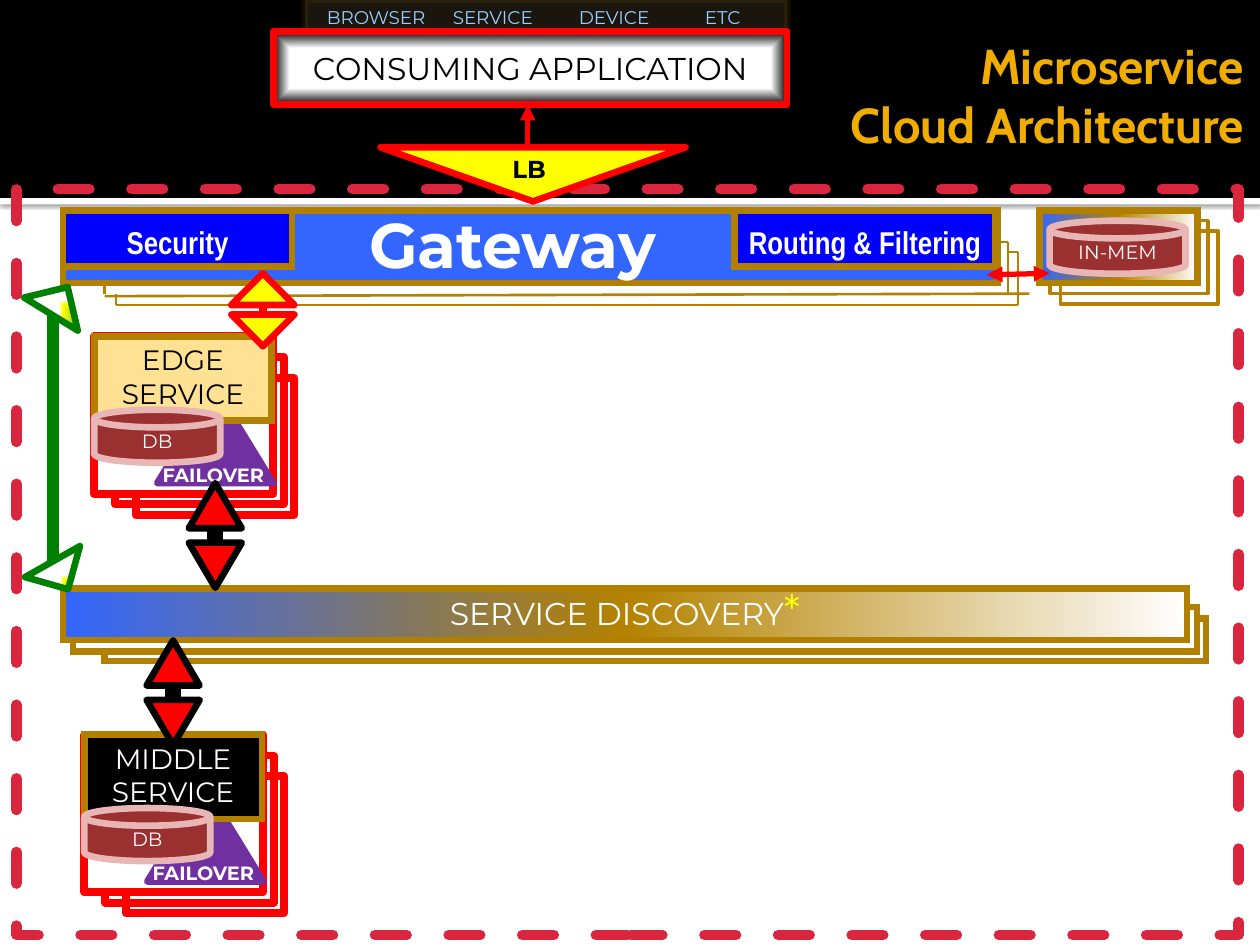
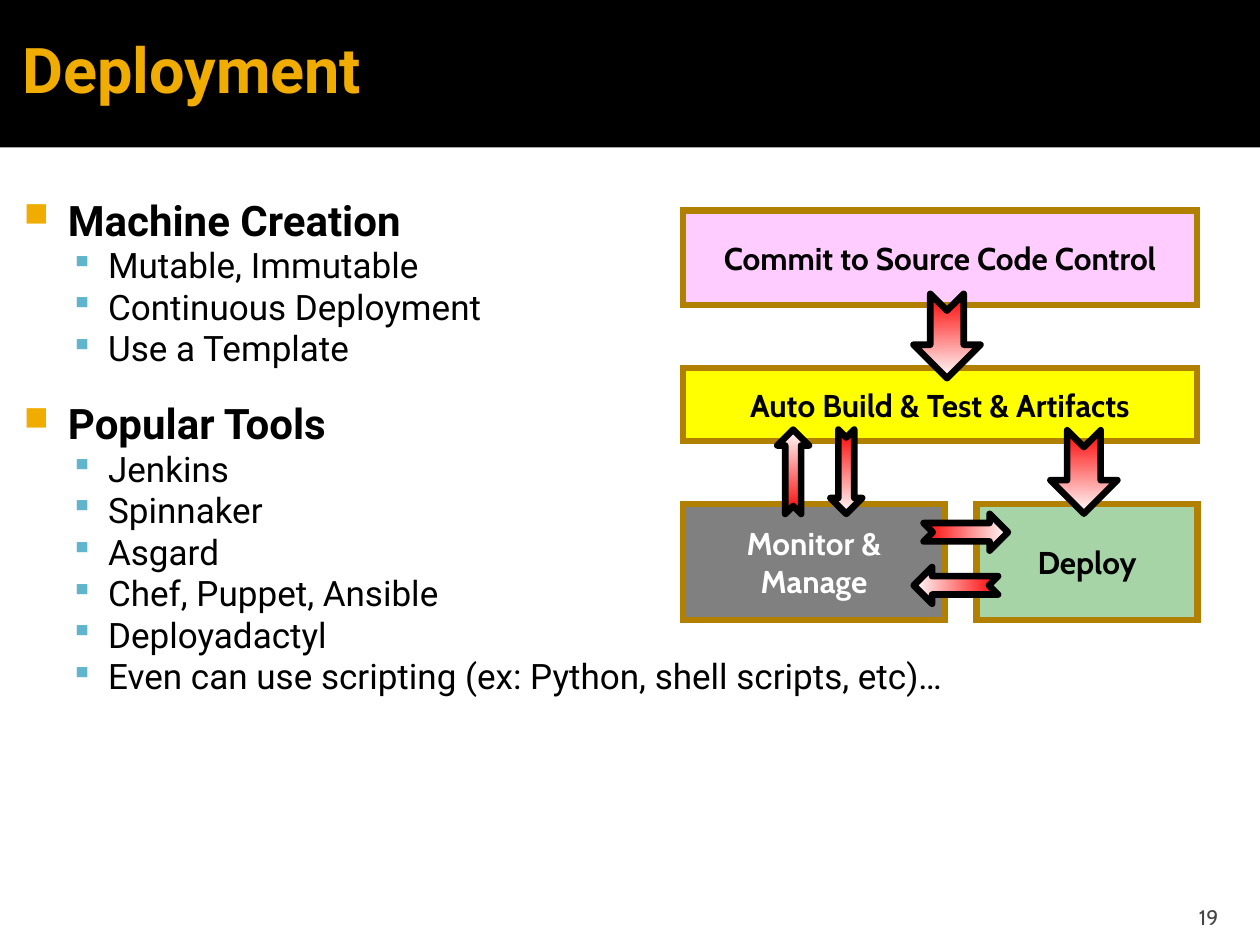
from lxml import etree
from pptx import Presentation
from pptx.dml.color import RGBColor
from pptx.enum.dml import MSO_LINE
from pptx.enum.shapes import MSO_CONNECTOR, MSO_SHAPE
from pptx.enum.text import MSO_ANCHOR, MSO_AUTO_SIZE, PP_ALIGN
from pptx.oxml.ns import qn
from pptx.util import Cm, Pt

RECT = MSO_SHAPE.RECTANGLE
TRIANGLE = MSO_SHAPE.ISOSCELES_TRIANGLE
DISK = MSO_SHAPE.FLOWCHART_MAGNETIC_DISK
ARROW = MSO_SHAPE.NOTCHED_RIGHT_ARROW
STRAIGHT = MSO_CONNECTOR.STRAIGHT
DASH = MSO_LINE.DASH
TOP, MIDDLE, BOTTOM = MSO_ANCHOR.TOP, MSO_ANCHOR.MIDDLE, MSO_ANCHOR.BOTTOM
LEFT, CENTER, RIGHT = PP_ALIGN.LEFT, PP_ALIGN.CENTER, PP_ALIGN.RIGHT
NO_FIT = MSO_AUTO_SIZE.NONE

BLACK = RGBColor(0x00, 0x00, 0x00)
WHITE = RGBColor(0xFF, 0xFF, 0xFF)
AMBER = RGBColor(0xF0, 0xAD, 0x00)
GOLD = RGBColor(0xB2, 0x80, 0x00)
OCHRE = RGBColor(0xB4, 0x82, 0x00)
SAND = RGBColor(0xFF, 0xE1, 0x93)
YELLOW = RGBColor(0xFF, 0xFF, 0x00)
RED = RGBColor(0xFF, 0x00, 0x00)
CRIMSON = RGBColor(0xD9, 0x25, 0x3E)
BRICK = RGBColor(0x9A, 0x31, 0x30)
ROSE = RGBColor(0xE8, 0xB6, 0xB5)
PURPLE = RGBColor(0x70, 0x30, 0xA0)
BLUE = RGBColor(0x00, 0x00, 0xFF)
AZURE = RGBColor(0x33, 0x66, 0xFF)
SKY = RGBColor(0x99, 0xCC, 0xFF)
TEAL = RGBColor(0x60, 0xB5, 0xCC)
GREEN = RGBColor(0x00, 0x80, 0x00)
LEAF = RGBColor(0x47, 0x92, 0x49)
MINT = RGBColor(0xA6, 0xD4, 0xA7)
PINK = RGBColor(0xFF, 0xCC, 0xFF)
GREY = RGBColor(0x80, 0x80, 0x80)
DARK_GREY = RGBColor(0x45, 0x45, 0x45)

# Gradients: (stops, path kind or None for linear, focus rectangle l/t/r/b)
HORIZON = ([(0, AZURE), (50, OCHRE), (100, WHITE)], None, None)
BEVEL = ([(55, WHITE), (100, BLACK)], "shape", (50, 50, 50, 50))
GLOW = ([(0, LEAF), (88, YELLOW), (100, WHITE)], "rect", (100, 100, 0, 0))
FLAME = ([(0, RED), (100, WHITE)], None, None)

EDGE_WIDTH = 3.78


def child(parent, tag, **attributes):
    return etree.SubElement(parent, qn(tag), {k: str(v) for k, v in attributes.items()})


class Deck:
    def __init__(self):
        self.prs = Presentation()
        self.prs.slide_width, self.prs.slide_height = Cm(25.4), Cm(19.05)
        self.slide = None

    def start(self, title, box, size, font, align=LEFT):
        """Add a slide with the black title band behind its title."""
        self.slide = self.prs.slides.add_slide(self.prs.slide_layouts[5])
        heading = self.slide.shapes.title
        heading.left, heading.top, heading.width, heading.height = map(Cm, box)
        self.set_text(heading, title, size, AMBER, font, True, align, MIDDLE,
                      (0.25, 0.13, 0.13, 0.13))
        rule = self.shape(RECT, (0, 3.99, 25.4, 0.13), WHITE)
        shadow = child(rule.element.spPr.find(qn("a:effectLst")), "a:outerShdw",
                       blurRad=Pt(2.5), dist=Pt(0.8), dir=5400000)
        child(child(shadow, "a:srgbClr", val=BLACK), "a:alpha", val=60000)
        band = self.shape(RECT, (0, 0, 25.4, 3.99), BLACK)
        for backdrop in (rule, band):
            heading.element.addprevious(backdrop.element)

    def set_text(self, shape, text, size, color, font, bold=False, align=CENTER,
                 anchor=MIDDLE, insets=(0.25, 0.13, 0.25, 0.13)):
        frame = shape.text_frame
        frame.word_wrap, frame.auto_size = True, NO_FIT
        frame.vertical_anchor = anchor
        (frame.margin_left, frame.margin_top,
         frame.margin_right, frame.margin_bottom) = map(Cm, insets)
        frame.text = text
        for paragraph in frame.paragraphs:
            paragraph.alignment = align
            self.font(paragraph, size, color, font, bold)

    def font(self, target, size, color, name, bold=False):
        target.font.size, target.font.name, target.font.bold = Pt(size), name, bold
        target.font.color.rgb = color

    def shape(self, kind, box, fill=None, line=None, width=EDGE_WIDTH, rotation=0):
        shape = self.slide.shapes.add_shape(kind, *map(Cm, box))
        shape.shadow.inherit = False
        shape.rotation = rotation
        if fill is None:
            shape.fill.background()
        elif isinstance(fill, RGBColor):
            shape.fill.solid()
            shape.fill.fore_color.rgb = fill
        else:
            self.gradient(shape, *fill)
        if line is None:
            shape.line.fill.background()
        else:
            shape.line.color.rgb = line
            shape.line.width = Pt(width)
            if line == GOLD:
                child(shape.element.spPr.find(qn("a:ln")), "a:miter", lim=800000)
        return shape

    def gradient(self, shape, stops, kind, focus):
        shape.fill.gradient()
        fill = shape.element.spPr.find(qn("a:gradFill"))
        for part in list(fill):
            fill.remove(part)
        fill.set("rotWithShape", "1")
        stop_list = child(fill, "a:gsLst")
        for position, color in stops:
            child(child(stop_list, "a:gs", pos=position * 1000), "a:srgbClr", val=color)
        if kind is None:
            child(fill, "a:lin", ang=0, scaled=0)
        else:
            sides = {side: edge * 1000 for side, edge in zip("ltrb", focus)}
            child(child(fill, "a:path", path=kind), "a:fillToRect", **sides)

    def fade(self, shape, percent):
        for color in shape.element.spPr.iter(qn("a:srgbClr")):
            child(color, "a:alpha", val=percent * 1000)

    def label(self, text, box, size, color, font, bold=False, align=LEFT, anchor=TOP, **more):
        caption = self.slide.shapes.add_textbox(*map(Cm, box))
        self.set_text(caption, text, size, color, font, bold, align, anchor, **more)

    def line(self, start, end, color, width, arrows=False):
        line = self.slide.shapes.add_connector(STRAIGHT, *map(Cm, start + end))
        line.line.color.rgb = color
        line.line.width = Pt(width)
        if arrows:
            for tag in ("a:headEnd", "a:tailEnd"):
                child(line.element.spPr.find(qn("a:ln")), tag, type="triangle")
        child(line.element.spPr, "a:effectLst")

    def disk(self, text, box):
        self.set_text(self.shape(DISK, box, BRICK, ROSE), text, 11, WHITE, "Montserrat")

    def exchange(self, center, top, width, height, head, fill, edge, stem):
        """Vertical two-way arrow made of two triangles joined by a stem."""
        left, lower = center - width / 2, top + height - head
        self.line((center, top + head / 2), (center, lower + head / 2), edge, stem)
        self.shape(TRIANGLE, (left, lower, width, head), fill, edge, rotation=180)
        self.shape(TRIANGLE, (left, top, width, head), fill, edge)

    def service(self, name, left, top, fill, color):
        """Stack of instances with a service name, a database and a failover."""
        for depth in (2, 1, 0):
            shift, shrink = 0.42 * depth, 0.21 * depth
            self.shape(RECT, (left + shift, top + shift, 3.61 - shrink, 3.18 - shrink),
                       None if depth else WHITE, RED, 4.5)
        self.shape(TRIANGLE, (left + 1.27, top + 1.05, 2.34, 1.91), PURPLE, PURPLE)
        self.label("FAILOVER", (left + 1.13, top + 2.43, 2.77, 0.74), 11, WHITE,
                   "Montserrat", True)
        plate = self.shape(RECT, (left, top, 3.58, 1.7), fill, GOLD)
        self.set_text(plate, name, 16, color, "Montserrat", anchor=TOP)
        self.disk("DB", (left, top + 1.48, 2.54, 1.07))

    def bullet(self, paragraph, mark, color, size, margin, hanging):
        props = paragraph._p.get_or_add_pPr()
        props.set("marL", str(Cm(margin)))
        props.set("indent", str(-Cm(hanging)))
        child(child(props, "a:buClr"), "a:srgbClr", val=color)
        child(props, "a:buSzPct", val=size * 1000)
        child(props, "a:buChar", char=mark)


def architecture(deck):
    deck.start("Microservice\vCloud Architecture", (15.88, 0.18, 9.32, 3.45), 28,
               "Cabin", RIGHT)

    gateway_copies = [
        ((20.75, 5.92), (2.11, 5.97)), ((20.52, 6.15), (2.34, 6.15)),
        ((2.11, 5.92), (2.11, 5.72)), ((2.34, 6.15), (2.34, 5.92)),
        ((20.32, 5.92), (20.32, 4.88)), ((20.12, 4.88), (20.32, 4.88)),
        ((20.52, 6.15), (20.52, 5.08)), ((20.32, 5.08), (20.52, 5.08)),
    ]
    for start, end in gateway_copies:
        deck.line(start, end, OCHRE, 1.5)
    deck.shape(RECT, (1.27, 4.24, 18.85, 1.47), AZURE, GOLD)
    cloud = deck.shape(RECT, (0.33, 3.81, 24.64, 15.04), None, CRIMSON, 6)
    cloud.line.dash_style = DASH
    cloud.element.spPr.find(qn("a:ln")).set("cap", "rnd")
    for duty, left, width in (("Security", 1.27, 4.62), ("Routing & Filtering", 14.81, 5.26)):
        plate = deck.shape(RECT, (left, 4.24, width, 1.14), BLUE, GOLD)
        deck.set_text(plate, duty, 18, WHITE, "Arial Narrow", True, anchor=BOTTOM)
    deck.label("Gateway", (7.19, 4.01, 6.99, 1.8), 36, WHITE, "Montserrat", True)

    for depth in (2, 1):
        shift = 0.21 * depth
        deck.shape(RECT, (20.96 + shift, 4.24 + shift, 3.18, 1.47), None, OCHRE, 2)
    deck.shape(RECT, (20.96, 4.24, 3.18, 1.47), HORIZON, GOLD)
    deck.line((19.89, 5.54), (21.16, 5.51), RED, 3, arrows=True)
    deck.disk("IN-MEM", (21.16, 4.45, 2.74, 1.07))

    for box in ((2.11, 12.47, 22.2, 0.86), (1.47, 12.24, 22.66, 0.89)):
        deck.shape(RECT, box, WHITE, GOLD)
    discovery = deck.shape(RECT, (1.27, 11.86, 22.66, 1.04), HORIZON, GOLD)
    deck.set_text(discovery, "SERVICE DISCOVERY", 18, WHITE, "Montserrat", anchor=BOTTOM)
    asterisk = discovery.text_frame.paragraphs[0].add_run()
    asterisk.text = "*"
    deck.font(asterisk, 24, YELLOW, "Montserrat")

    deck.service("EDGE\nSERVICE", 1.9, 6.78, SAND, BLACK)
    deck.service("MIDDLE\nSERVICE", 1.7, 14.81, BLACK, WHITE)
    deck.exchange(5.3, 5.51, 1.27, 1.47, 0.64, YELLOW, RED, 4.5)
    for center, top in ((4.34, 9.74), (3.49, 12.91)):
        deck.exchange(center, top, 1.07, 2.11, 0.91, RED, BLACK, 9)

    clients = deck.shape(RECT, (6.15, 0, 9.73, 0.71), SAND, GOLD)
    deck.fade(clients, 10)
    tabs = child(clients.text_frame.paragraphs[0]._p.get_or_add_pPr(), "a:tabLst")
    for stop in (2.56, 4.64, 6.74):
        child(tabs, "a:tab", pos=Cm(stop), algn="l")
    deck.set_text(clients, "BROWSER\tSERVICE\tDEVICE\tETC", 10.5, SKY, "Montserrat",
                  align=LEFT, insets=(0.44, 0.13, 0.25, 0.13))
    deck.line((10.64, 2.11), (10.64, 3.89), RED, 3, arrows=True)
    deck.shape(TRIANGLE, (7.67, 2.97, 6.15, 1.09), YELLOW, RED, rotation=180)
    deck.label("LB", (10.08, 2.97, 2.54, 0.86), 14, BLACK, "Montserrat", True)
    consumer = deck.shape(RECT, (5.51, 0.64, 10.36, 1.47), BEVEL, RED)
    deck.set_text(consumer, "CONSUMING APPLICATION", 18, BLACK, "Montserrat")

    deck.line((1.07, 6.15), (1.07, 11.3), GREEN, 7)
    for left, top, rotation in ((0.58, 11.28, 150.6), (0.56, 5.74, 31.6)):
        deck.shape(TRIANGLE, (left, top, 1.27, 0.64), GLOW, GREEN, rotation=rotation)


def deployment(deck):
    deck.start("Deployment", (0.2, 0.2, 19.25, 2.34), 36, "Roboto")

    topics = {
        "Machine Creation": ["Mutable, Immutable", "Continuous Deployment", "Use a Template"],
        "Popular Tools": ["Jenkins", "Spinnaker", "Asgard", "Chef, Puppet, Ansible",
                          "Deployadactyl",
                          "Even can use scripting (ex: Python, shell scripts, etc)…"],
    }
    lines = [line for topic, items in topics.items() for line in (topic, *items)]
    body = deck.shape(RECT, (0, 2.97, 25.4, 16.08), WHITE)
    deck.set_text(body, "\n".join(lines), 20, BLACK, "Roboto", align=LEFT, anchor=TOP,
                  insets=(0.15, 1.14, 0.25, 0.13))
    for position, paragraph in enumerate(body.text_frame.paragraphs):
        paragraph.line_spacing = 0.8
        paragraph._p.pPr.remove(paragraph._p.pPr.find(qn("a:defRPr")))
        if paragraph.text in topics:
            paragraph.space_before = Pt(22 if position else 0)
            deck.bullet(paragraph, "■", AMBER, 80, 1.22, 0.89)
            deck.font(paragraph, 24, BLACK, "Roboto", True)
        else:
            paragraph.level = 1
            paragraph.space_before = Pt(4.5)
            deck.bullet(paragraph, "▪", TEAL, 90, 2.03, 0.76)
            deck.font(paragraph, 20, BLACK, "Roboto")
    deck.label("19", (22.78, 17.98, 2.03, 0.76), 12, DARK_GREY, "Cabin", align=RIGHT,
               anchor=BOTTOM, insets=(0.25, 0.13, 0.25, 0))

    stages = [
        ("Commit to Source Code Control", (13.77, 4.24, 10.36, 1.91), PINK, BLACK),
        ("Auto Build & Test & Artifacts", (13.77, 7.42, 10.36, 1.47), YELLOW, BLACK),
        ("Deploy", (19.69, 10.16, 4.45, 2.34), MINT, BLACK),
        ("Monitor &\nManage", (13.77, 10.16, 5.28, 2.34), GREY, WHITE),
    ]
    for name, box, fill, color in stages:
        deck.set_text(deck.shape(RECT, box, fill, GOLD), name, 18, color, "Cabin", True)

    flows = [
        ((18.24, 6.1, 1.7, 1.35), 90), ((21.01, 8.84, 1.68, 1.35), 90),
        ((18.62, 10.36, 1.7, 0.74), 0), ((18.42, 11.43, 1.7, 0.74), 180),
        ((15.14, 9.19, 1.7, 0.64), 270), ((16.21, 9.19, 1.7, 0.64), 90),
    ]
    for box, rotation in flows:
        deck.shape(ARROW, box, FLAME, BLACK, rotation=rotation)


def main():
    deck = Deck()
    architecture(deck)
    deployment(deck)
    deck.prs.save("out.pptx")


if __name__ == "__main__":
    main()
